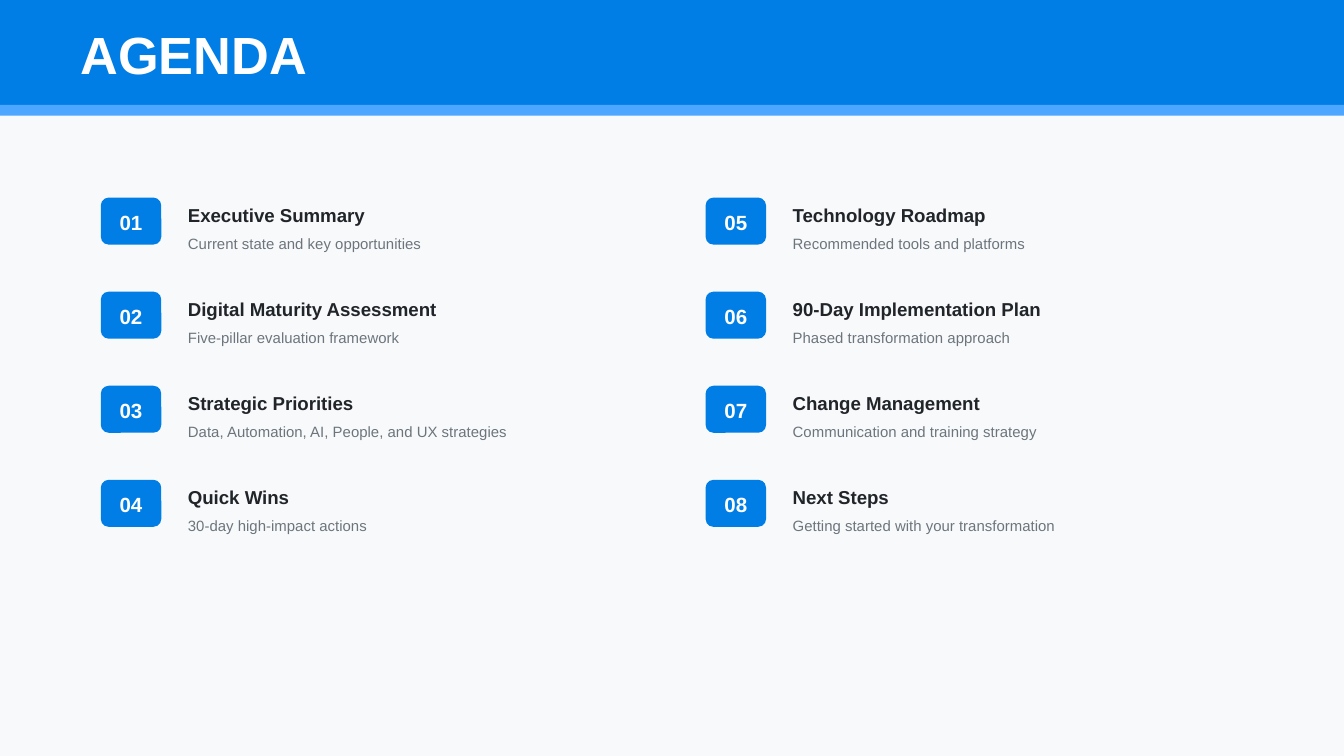
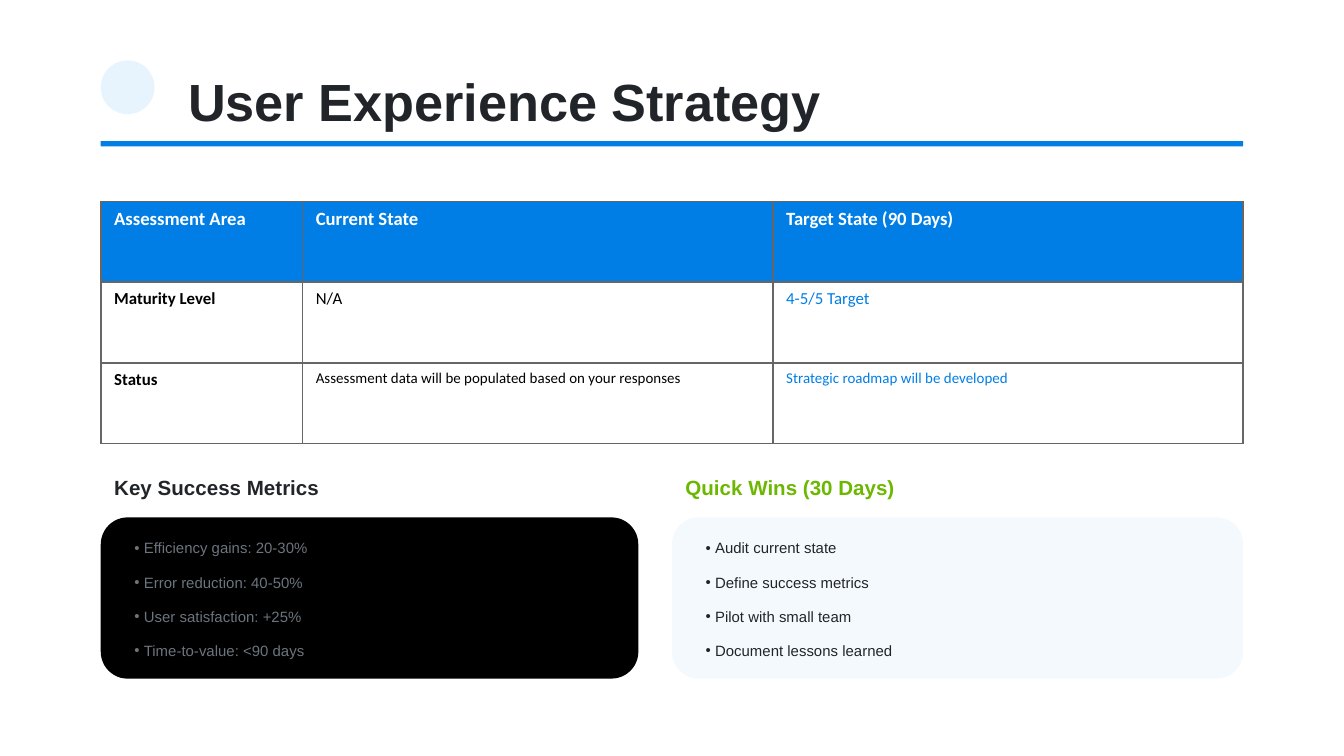
"""Build the agenda and user experience strategy slides."""
from dataclasses import dataclass
from typing import NamedTuple

from lxml import etree
from pptx import Presentation
from pptx import util as u
from pptx.dml.color import RGBColor
from pptx.enum import shapes, text
from pptx.oxml import ns
from pptx.slide import Slide

PX = u.Inches(1) // 200


@dataclass(frozen=True)
class Theme:
    """Colours, fonts and type sizes of the deck."""

    blue: RGBColor = RGBColor(0x00, 0x7E, 0xE5)
    light_blue: RGBColor = RGBColor(0x4D, 0xA6, 0xFF)
    pale_blue: RGBColor = RGBColor(0xE8, 0xF4, 0xFD)
    green: RGBColor = RGBColor(0x6C, 0xB7, 0x00)
    ink: RGBColor = RGBColor(0x21, 0x25, 0x29)
    gray: RGBColor = RGBColor(0x6C, 0x75, 0x7D)
    border: RGBColor = RGBColor(0x66, 0x66, 0x66)
    mist: RGBColor = RGBColor(0xF8, 0xF9, 0xFA)
    white: RGBColor = RGBColor(0xFF, 0xFF, 0xFF)
    black: RGBColor = RGBColor(0x00, 0x00, 0x00)
    font: str = "Arial"
    table_font: str = "Calibri"
    title: int = 28
    heading: int = 11
    label: int = 10
    cell: int = 9
    small: int = 8


THEME = Theme()


class Box(NamedTuple):
    """Left, top, width and height in px."""

    left: int
    top: int
    width: int
    height: int


class AgendaItem(NamedTuple):
    """One numbered agenda entry."""

    title: str
    description: str


class Panel(NamedTuple):
    """A heading above a card with a bulleted list."""

    left: int
    width: int
    heading: str
    heading_color: RGBColor
    fill: RGBColor
    opacity: int
    text_color: RGBColor
    points: list[str]


class CellText(NamedTuple):
    """Text and format of one table cell."""

    text: str
    size: int
    color: RGBColor
    bold: bool = False
    fill: RGBColor = THEME.white


AGENDA = [
    AgendaItem("Executive Summary", "Current state and key opportunities"),
    AgendaItem("Digital Maturity Assessment", "Five-pillar evaluation framework"),
    AgendaItem("Strategic Priorities", "Data, Automation, AI, People, and UX strategies"),
    AgendaItem("Quick Wins", "30-day high-impact actions"),
    AgendaItem("Technology Roadmap", "Recommended tools and platforms"),
    AgendaItem("90-Day Implementation Plan", "Phased transformation approach"),
    AgendaItem("Change Management", "Communication and training strategy"),
    AgendaItem("Next Steps", "Getting started with your transformation"),
]
AGENDA_ROWS = 4

COLUMN_WIDTHS = [300, 700, 700]
ROW_HEIGHT = 120
HEADERS = ["Assessment Area", "Current State", "Target State (90 Days)"]
TABLE = [
    [CellText(header, THEME.label, THEME.white, True, THEME.blue) for header in HEADERS],
    [
        CellText("Maturity Level", THEME.cell, THEME.black, True),
        CellText("N/A", THEME.cell, THEME.black),
        CellText("4-5/5 Target", THEME.cell, THEME.blue),
    ],
    [
        CellText("Status", THEME.cell, THEME.black, True),
        CellText("Assessment data will be populated based on your responses", THEME.small, THEME.black),
        CellText("Strategic roadmap will be developed", THEME.small, THEME.blue),
    ],
]

PANELS = [
    Panel(150, 800, "Key Success Metrics", THEME.ink, THEME.black, 100, THEME.gray, [
        "Efficiency gains: 20-30%",
        "Error reduction: 40-50%",
        "User satisfaction: +25%",
        "Time-to-value: <90 days",
    ]),
    Panel(1000, 850, "Quick Wins (30 Days)", THEME.green, THEME.pale_blue, 50, THEME.ink, [
        "Audit current state",
        "Define success metrics",
        "Pilot with small team",
        "Document lessons learned",
    ]),
]


def emu(box: Box) -> list[int]:
    """Convert a box from px to EMU."""
    return [length * PX for length in box]


def write(frame, content: str, *, size: int, color: RGBColor, font: str = THEME.font,
          bold: bool = False, align=text.PP_ALIGN.LEFT, gap: float = 0) -> None:
    """Fill a text frame, one paragraph a line, in one format."""
    frame.text = content
    for paragraph in frame.paragraphs:
        paragraph.alignment = align
        paragraph.space_before = u.Pt(0)
        paragraph.space_after = u.Pt(gap)
        for run in paragraph.runs:
            run.font.name = font
            run.font.size = u.Pt(size)
            run.font.bold = bold
            run.font.color.rgb = color


def prepare_frame(shape, anchor=text.MSO_ANCHOR.MIDDLE):
    """Return the shape's text frame, wrapped, fixed in size and anchored."""
    frame = shape.text_frame
    frame.word_wrap = True
    frame.auto_size = text.MSO_AUTO_SIZE.NONE
    frame.vertical_anchor = anchor
    return frame


def add_text(slide: Slide, box: Box, content: str, **style) -> None:
    """Add a text box."""
    write(prepare_frame(slide.shapes.add_textbox(*emu(box))), content, **style)


def add_block(slide: Slide, kind, box: Box, fill: RGBColor, opacity: int = 100):
    """Add a filled shape without line or shadow."""
    shape = slide.shapes.add_shape(kind, *emu(box))
    shape.shadow.inherit = False
    shape.line.fill.background()
    shape.fill.solid()
    shape.fill.fore_color.rgb = fill
    if opacity < 100:
        color = shape.element.spPr.find(".//" + ns.qn("a:srgbClr"))
        etree.SubElement(color, ns.qn("a:alpha"), val=str(opacity * 1000))
    return shape


def place(shape, box: Box, anchor=text.MSO_ANCHOR.MIDDLE):
    """Move a placeholder to the front at the box and return its text frame."""
    shape.left, shape.top, shape.width, shape.height = emu(box)
    shape.element.getparent().append(shape.element)
    return prepare_frame(shape, anchor)


def set_bullets(frame, indent: int) -> None:
    """Give each paragraph a hanging round bullet."""
    for paragraph in frame.paragraphs:
        properties = paragraph._p.get_or_add_pPr()
        properties.set("marL", str(indent * PX))
        properties.set("indent", str(-indent * PX))
        etree.SubElement(properties, ns.qn("a:buFont"), typeface=THEME.font)
        etree.SubElement(properties, ns.qn("a:buChar"), char="•")


def add_slide(presentation, layout: int, background: RGBColor) -> Slide:
    """Add a slide with a plain background."""
    slide = presentation.slides.add_slide(presentation.slide_layouts[layout])
    slide.background.fill.solid()
    slide.background.fill.fore_color.rgb = background
    return slide


def set_title(slide: Slide, box: Box, content: str, color: RGBColor) -> None:
    """Place and write the slide title."""
    write(place(slide.shapes.title, box), content, size=THEME.title, color=color, bold=True)


def add_agenda_item(slide: Slide, index: int, item: AgendaItem) -> None:
    """Add a numbered badge with its title and description."""
    column, row = divmod(index, AGENDA_ROWS)
    left, top = 150 + 900 * column, 294 + 140 * row
    badge = add_block(slide, shapes.MSO_SHAPE.ROUNDED_RECTANGLE, Box(left, top, 90, 70), THEME.blue)
    frame = prepare_frame(badge)
    frame.margin_top, frame.margin_bottom = 4 * PX, 0
    write(frame, f"{index + 1:02}", size=THEME.heading, color=THEME.white, bold=True,
          align=text.PP_ALIGN.CENTER)
    add_text(slide, Box(left + 110, top + 6, 700, 40), item.title,
             size=THEME.label, color=THEME.ink, bold=True)
    add_text(slide, Box(left + 110, top + 50, 700, 36), item.description,
             size=THEME.small, color=THEME.gray)


def build_agenda(presentation) -> None:
    """Build the agenda slide."""
    slide = add_slide(presentation, 5, THEME.mist)
    add_block(slide, shapes.MSO_SHAPE.RECTANGLE, Box(0, 0, 2000, 160), THEME.blue)
    set_title(slide, Box(100, 50, 1800, 60), "AGENDA", THEME.white)
    add_block(slide, shapes.MSO_SHAPE.RECTANGLE, Box(0, 156, 2000, 16), THEME.light_blue)
    for index, item in enumerate(AGENDA):
        add_agenda_item(slide, index, item)


def set_borders(cell) -> None:
    """Draw a thin line on each side of a cell."""
    properties = cell._tc.get_or_add_tcPr()
    for side in ("lnL", "lnR", "lnT", "lnB"):
        line = etree.SubElement(properties, ns.qn(f"a:{side}"), w=str(u.Pt(1)))
        fill = etree.SubElement(line, ns.qn("a:solidFill"))
        etree.SubElement(fill, ns.qn("a:srgbClr"), val=str(THEME.border))


def add_assessment_table(slide: Slide) -> None:
    """Add the table of current and target states."""
    box = Box(150, 300, sum(COLUMN_WIDTHS), ROW_HEIGHT * len(TABLE))
    table = slide.shapes.add_table(len(TABLE), len(COLUMN_WIDTHS), *emu(box)).table
    table.horz_banding = False
    for column, width in zip(table.columns, COLUMN_WIDTHS):
        column.width = width * PX
    for row, entries in zip(table.rows, TABLE):
        row.height = ROW_HEIGHT * PX
        for cell, entry in zip(row.cells, entries):
            set_borders(cell)
            cell.fill.solid()
            cell.fill.fore_color.rgb = entry.fill
            write(cell.text_frame, entry.text, size=entry.size, color=entry.color,
                  font=THEME.table_font, bold=entry.bold)


def add_panel(slide: Slide, panel: Panel, heading, body) -> None:
    """Add a panel using a heading and a body placeholder."""
    write(place(heading, Box(panel.left, 700, panel.width, 50)), panel.heading,
          size=THEME.heading, color=panel.heading_color, bold=True)
    add_block(slide, shapes.MSO_SHAPE.ROUNDED_RECTANGLE,
              Box(panel.left, 770, panel.width, 240), panel.fill, panel.opacity)
    frame = place(body, Box(panel.left + 30, 792, panel.width - 60, 196), text.MSO_ANCHOR.TOP)
    write(frame, "\n".join(panel.points), size=THEME.small, color=panel.text_color, gap=8.8)
    set_bullets(frame, 14)


def build_strategy(presentation) -> None:
    """Build the user experience strategy slide."""
    slide = add_slide(presentation, 4, THEME.white)
    add_block(slide, shapes.MSO_SHAPE.OVAL, Box(150, 90, 80, 80), THEME.pale_blue)
    set_title(slide, Box(260, 100, 1590, 100), "User Experience Strategy", THEME.ink)
    add_block(slide, shapes.MSO_SHAPE.RECTANGLE, Box(150, 210, 1700, 8), THEME.blue)
    add_assessment_table(slide)
    holders = {holder.placeholder_format.idx: holder for holder in slide.placeholders}
    for index, panel in enumerate(PANELS):
        add_panel(slide, panel, holders[2 * index + 1], holders[2 * index + 2])


def main() -> None:
    """Build and save the presentation."""
    presentation = Presentation()
    presentation.slide_width, presentation.slide_height = 2000 * PX, 1125 * PX
    build_agenda(presentation)
    build_strategy(presentation)
    presentation.save("out.pptx")


if __name__ == "__main__":
    main()
